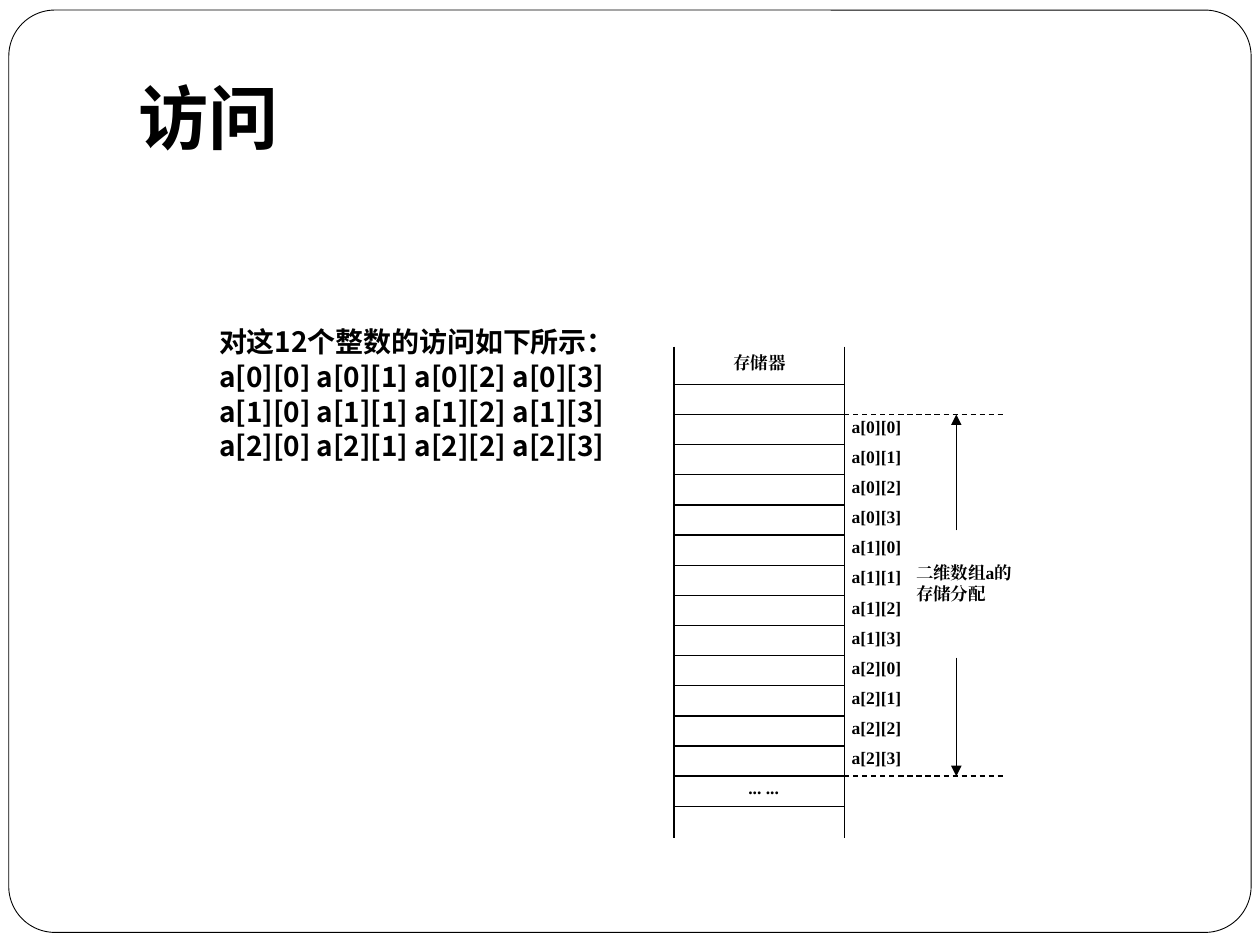
import pptx
import pptx.dml.color
import pptx.enum.dml
import pptx.enum.shapes
import pptx.enum.text
import pptx.oxml
import pptx.oxml.ns
import pptx.util
from pptx.util import Inches

BLACK = pptx.dml.color.RGBColor(0, 0, 0)
WHITE = pptx.dml.color.RGBColor(255, 255, 255)
SANS = "Noto Sans CJK SC"
SERIF = "Times New Roman"

deck = pptx.Presentation()
deck.slide_width = Inches(10)
deck.slide_height = Inches(7.5)
page = deck.slides.add_slide(deck.slide_layouts[6])


def add_text(left, top, width, height, lines, size=10, font=SERIF, margins=(0.02, 0.01)):
    """Add bold black text, one paragraph per line, and return its frame."""
    box = page.shapes.add_textbox(Inches(left), Inches(top), Inches(width), Inches(height))
    frame = box.text_frame
    frame.word_wrap = True
    frame.margin_left = frame.margin_right = Inches(margins[0])
    frame.margin_top = frame.margin_bottom = Inches(margins[1])
    frame.text = "\n".join(lines)
    for para in frame.paragraphs:
        para.font.size = pptx.util.Pt(size)
        para.font.bold = True
        para.font.color.rgb = BLACK
        for span in para.runs:
            span.font.name = font
            east_asian = pptx.oxml.ns.qn("a:ea")
            span.font._element.makeelement(east_asian)
            latin = span.font._element.find(pptx.oxml.ns.qn("a:latin"))
            latin.addnext(latin.makeelement(east_asian, {"typeface": font}))
    return frame


def add_line(x1, y1, x2, y2, dashed=False, arrow=False):
    line = page.shapes.add_connector(
        pptx.enum.shapes.MSO_CONNECTOR.STRAIGHT,
        Inches(x1), Inches(y1), Inches(x2), Inches(y2))
    line.line.color.rgb = BLACK
    line.line.width = pptx.util.Pt(0.75)
    if dashed:
        line.line.dash_style = pptx.enum.dml.MSO_LINE.DASH
    if arrow:
        outline = line.line._get_or_add_ln()
        outline.append(outline.makeelement(pptx.oxml.ns.qn("a:tailEnd"), {"type": "triangle"}))
    properties = line._element.spPr
    properties.append(properties.makeelement(pptx.oxml.ns.qn("a:effectLst")))


# Page border
border = page.shapes.add_shape(
    pptx.enum.shapes.MSO_SHAPE.ROUNDED_RECTANGLE,
    Inches(0.07), Inches(0.08), Inches(9.86), Inches(7.32))
border.adjustments[0] = 0.05
border.shadow.inherit = False
border.fill.solid()
border.fill.fore_color.rgb = WHITE
border.line.color.rgb = BLACK
border.line.width = pptx.util.Pt(0.5)

# Title and list of accesses
title = add_text(1, 0.3, 8.5, 1.25, ["访问"], 40, SANS, (0.1, 0.05))
title.vertical_anchor = pptx.enum.text.MSO_ANCHOR.MIDDLE

accesses = ["对这12个整数的访问如下所示："]
for row in range(3):
    accesses.append(" ".join(f"a[{row}][{column}]" for column in range(4)))
body = add_text(1.14, 2.57, 4.1, 4.33, accesses, 16, SANS, (0.1, 0.05))
for number, para in enumerate(body.paragraphs):
    para._p.get_or_add_pPr().set("marL", str(Inches(0.5)))
    para.line_spacing = 0.84
    if number:
        para.space_before = pptx.util.Pt(3.7)

# Memory column: two walls and the cell borders between them
LEFT, RIGHT = 5.35, 6.7
ARRAY_TOP, ARRAY_BOTTOM = 3.29, 6.16
CELL = 0.24
for wall in (LEFT, RIGHT):
    add_line(wall, 2.75, wall, 6.65)
for border_number in range(-1, 14):
    y = ARRAY_TOP + (ARRAY_BOTTOM - ARRAY_TOP) / 12 * border_number
    add_line(LEFT, y, RIGHT, y)
add_text(5.8, 2.78, 0.49, 0.25, ["存储器"])
add_text(5.92, ARRAY_BOTTOM, 0.53, 0.25, ["... ..."])

# Element labels beside the cells
for element in range(12):
    row, column = divmod(element, 4)
    add_text(6.74, ARRAY_TOP + (ARRAY_BOTTOM - ARRAY_TOP) / 12 * element,
             0.53, 0.25, [f"a[{row}][{column}]"])

# Extent of the array
for edge, arrow_start in ((ARRAY_TOP, 4.21), (ARRAY_BOTTOM, 5.22)):
    add_line(RIGHT, edge, 7.97, edge, dashed=True)
    add_line(7.59, arrow_start, 7.59, edge, arrow=True)
add_text(7.25, 4.45, 0.82, 0.45, ["二维数组a的存储分配"])

deck.save("out.pptx")
